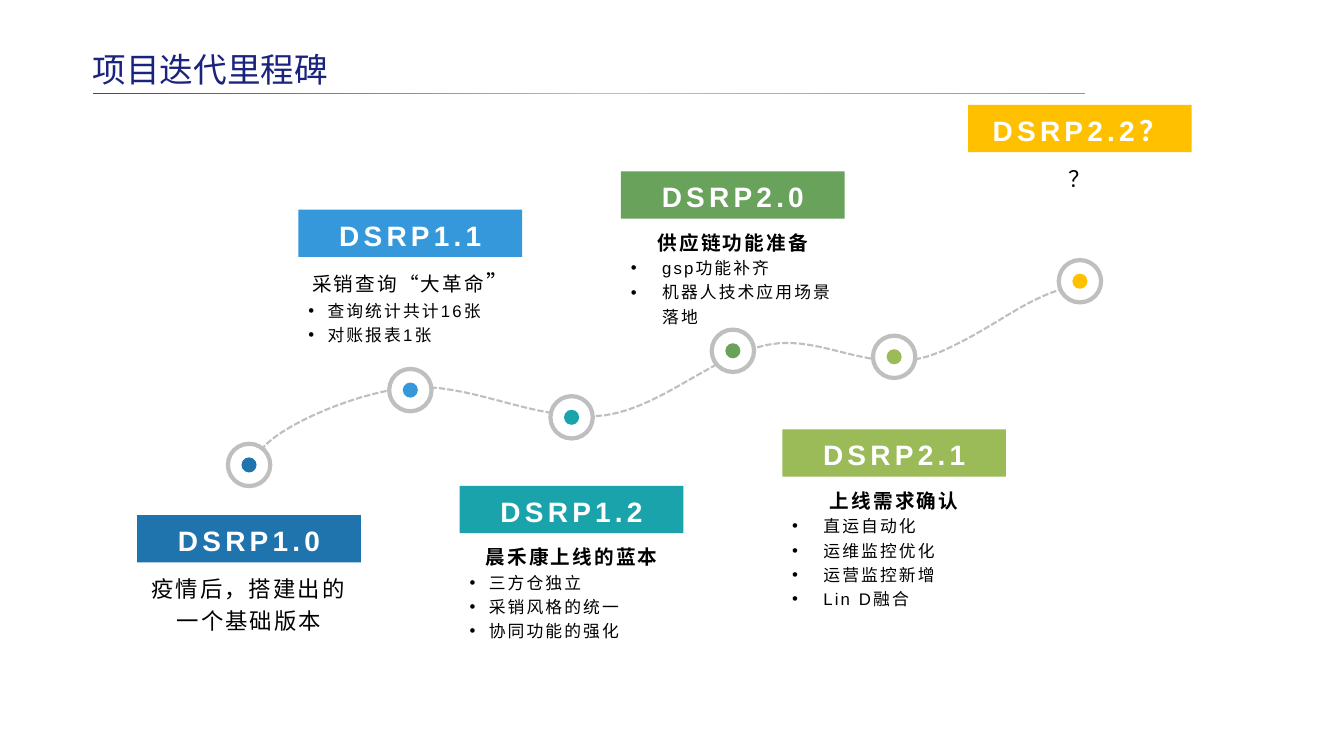
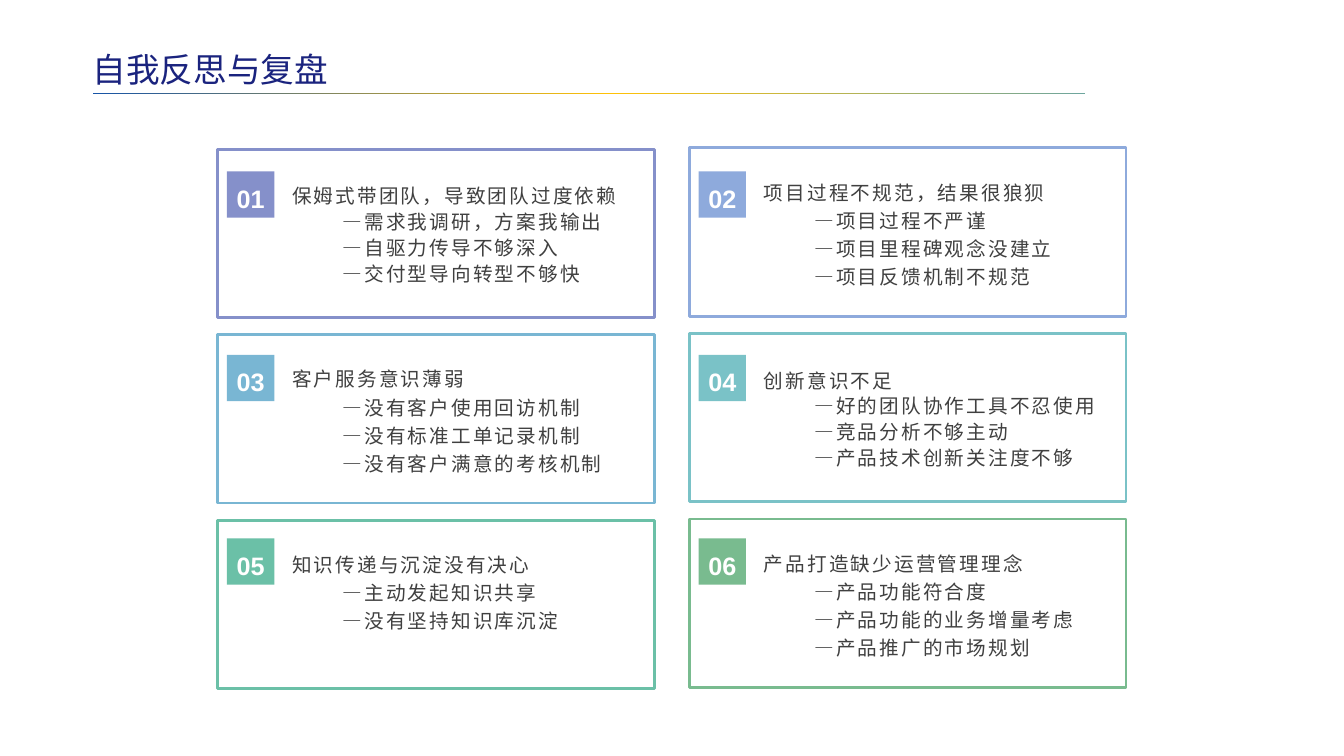
import pptx
import pptx.util
import pptx.dml.color
import pptx.enum.dml
import pptx.enum.shapes
import pptx.enum.text
import pptx.oxml.ns
from lxml import etree

Pt, Emu, Inches = pptx.util.Pt, pptx.util.Emu, pptx.util.Inches
SHAPE = pptx.enum.shapes.MSO_SHAPE
ANCHOR = pptx.enum.text.MSO_ANCHOR
ALIGN = pptx.enum.text.PP_ALIGN
qn = pptx.oxml.ns.qn

W, H = Inches(13.33), Inches(7.5)
CJK = "Noto Sans CJK SC"
C = {
    "title": "1A237E", "text": "000000", "soft": "404040",
    "white": "FFFFFF", "ring": "BFBFBF",
    "rule1": "1754A7", "rule2": "FFC107", "rule3": "6EA69E",
    "navy": "1F74AD", "blue": "3498DB", "teal": "1AA3AA",
    "green": "69A35B", "lime": "9BBB59", "amber": "FFC000",
    "violet": "8590CA", "sky": "8EAADC", "azure": "79B6D3",
    "aqua": "7AC2C7", "mint": "6BC0A7", "leaf": "79BB8F",
}

# Milestones: name, colour, node x and y, label top, heading, heading format,
# bullets, bullet indent in inches. Places are percentages of the slide.
FIRST_X, STEP_X = 18.53, 12
BIG = dict(size=16)
MEDIUM = dict(size=14)
BOLD = dict(size=14, bold=True)
MILESTONES = [
    ("DSRP1.0", "navy", FIRST_X, 61.5, 68.13,
     "疫情后，搭建出的一个基础版本", BIG, [], 0),
    ("DSRP1.1", "blue", FIRST_X + STEP_X, 51.6, 27.73,
     "采销查询“大革命", MEDIUM, ["查询统计共计16张", "对账报表1张"], 0.19),
    ("DSRP1.2", "teal", FIRST_X + 2 * STEP_X, 55.2, 64.27,
     "晨禾康上线的蓝本", BOLD,
     ["三方仓独立", "采销风格的统一", "协同功能的强化"], 0.19),
    ("DSRP2.0", "green", FIRST_X + 3 * STEP_X, 46.4, 22.67,
     "供应链功能准备", BOLD, ["gsp功能补齐", "机器人技术应用场景落地"], 0.31),
    ("DSRP2.1", "lime", FIRST_X + 4 * STEP_X, 47.2, 56.8,
     "上线需求确认", BOLD,
     ["直运自动化", "运维监控优化", "运营监控新增", "Lin D融合"], 0.31),
    ("DSRP2.2？", "amber", 80.35, 37.2, 13.87, "？", BIG, [], 0),
]

# Start point, then two control points and an end point per curve
PATH_START = (19.43, 59.6)
PATH_CURVES = [
    ((20.48, 56.53), (27.01, 51.33), (31.21, 51.2)),
    ((35.48, 51.2), (39.61, 55.33), (44.19, 55.07)),
    ((48.76, 54.8), (52.81, 47.07), (57.16, 45.6)),
    ((61.44, 44.13), (65.19, 50.27), (69.99, 46.53)),
    ((74.87, 42.67), (76.52, 38.53), (81.32, 37.33)),
]

# Reflections: colour, line spacing, heading, points
REFLECTIONS = [
    ("violet", 1.1, "保姆式带团队，导致团队过度依赖",
     ["需求我调研，方案我输出", "自驱力传导不够深入", "交付型导向转型不够快"]),
    ("sky", 1.2, "项目过程不规范，结果很狼狈",
     ["项目过程不严谨", "项目里程碑观念没建立", "项目反馈机制不规范"]),
    ("azure", 1.2, "客户服务意识薄弱",
     ["没有客户使用回访机制", "没有标准工单记录机制", "没有客户满意的考核机制"]),
    ("aqua", 1.1, "创新意识不足",
     ["好的团队协作工具不忍使用", "竞品分析不够主动", "产品技术创新关注度不够"]),
    ("mint", 1.2, "知识传递与沉淀没有决心",
     ["主动发起知识共享", "没有坚持知识库沉淀"]),
    ("leaf", 1.2, "产品打造缺少运营管理理念",
     ["产品功能符合度", "产品功能的业务增量考虑", "产品推广的市场规划"]),
]


def rgb(name):
    return pptx.dml.color.RGBColor.from_string(C[name])


def px(share):
    """Percentage of the slide width."""
    return Emu(round(W * share / 100))


def py(share):
    """Percentage of the slide height."""
    return Emu(round(H * share / 100))


def add_box(slide, kind, x, y, w, h, fill=None, line=None, width=2):
    sp = slide.shapes.add_shape(kind, x, y, w, h)
    sp.shadow.inherit = False
    if fill:
        sp.fill.solid()
        sp.fill.fore_color.rgb = rgb(fill)
    else:
        sp.fill.background()
    if line:
        sp.line.color.rgb = rgb(line)
        sp.line.width = Pt(width)
    else:
        sp.line.fill.background()
    return sp


def set_frame(sp, anchor=ANCHOR.TOP, insets=(0.1, 0.05, 0.1, 0.05), wrap=True):
    tf = sp.text_frame
    tf.word_wrap = wrap
    tf.vertical_anchor = anchor
    (tf.margin_left, tf.margin_top,
     tf.margin_right, tf.margin_bottom) = [Inches(i) for i in insets]
    return tf


def add_run(p, text, size=14, color="text", bold=False, font="Arial", spc=1.5):
    r = p.add_run()
    r.text = text
    r.font.size = Pt(size)
    r.font.bold = bold
    r.font.color.rgb = rgb(color)
    r.font.name = font
    rpr = r.font._element
    rpr.set("spc", str(int(spc * 100)))
    etree.SubElement(rpr, qn("a:ea")).set("typeface", CJK)


def write(tf, text, align=ALIGN.LEFT, line=1.2, indent=0, bullet=False, **fmt):
    """Add one paragraph, filling the empty first one before any other."""
    p = tf.paragraphs[0] if not tf.paragraphs[0].runs else tf.add_paragraph()
    p.alignment = align
    p.line_spacing = line
    ppr = p._p.get_or_add_pPr()
    ppr.set("marL", str(Inches(indent)))
    ppr.set("indent", str(-Inches(indent) if bullet else 0))
    if bullet:
        etree.SubElement(ppr, qn("a:buFont")).set("typeface", "Arial")
        etree.SubElement(ppr, qn("a:buChar")).set("char", "•")
    add_run(p, text, **fmt)
    return p


def add_header(slide, title, font):
    # Rule under the title
    rule = add_box(slide, SHAPE.RECTANGLE, px(6.9), py(12.27), px(73.8), py(0.2))
    rule.fill.gradient()
    rule.fill.gradient_angle = 0
    stops = rule._element.spPr.find(qn("a:gradFill")).find(qn("a:gsLst"))
    for gs in list(stops):
        stops.remove(gs)
    for pos, name in ((0, "rule1"), (52, "rule2"), (100, "rule3")):
        gs = etree.SubElement(stops, qn("a:gs"), pos=str(pos * 1000))
        etree.SubElement(gs, qn("a:srgbClr"), val=C[name])
    # Title
    sp = slide.shapes.add_textbox(px(6.9), py(5.2), px(72.1), py(7.07))
    tf = set_frame(sp, ANCHOR.BOTTOM, (0, 0.04, 0.07, 0.04))
    write(tf, title, line=1, size=24, color="title", font=font, spc=0)


def curve_points(steps=16):
    start = PATH_START
    for c1, c2, end in PATH_CURVES:
        for i in range(1, steps + 1):
            t = i / steps
            u = 1 - t
            x, y = (u**3 * a + 3 * u*u*t * b + 3 * u*t*t * c + t**3 * d
                    for a, b, c, d in zip(start, c1, c2, end))
            yield px(x), py(y)
        start = end


def add_path(slide):
    fb = slide.shapes.build_freeform(px(PATH_START[0]), py(PATH_START[1]))
    fb.add_line_segments(list(curve_points()), close=False)
    sp = fb.convert_to_shape()
    sp.shadow.inherit = False
    sp.fill.background()
    sp.line.color.rgb = rgb("ring")
    sp.line.width = Pt(1.5)
    sp.line.dash_style = pptx.enum.dml.MSO_LINE.SQUARE_DOT


def add_node(slide, x, y, color):
    for size, fill, line in ((5.6, "white", "ring"), (2, color, None)):
        d = py(size)
        add_box(slide, SHAPE.OVAL, px(x) - d // 2, py(y) - d // 2, d, d,
                fill, line, 3)


def add_milestone(slide, name, color, x, y, top, heading, style, items, indent):
    add_node(slide, x, y, color)
    w, h = px(16.65), py(6.27)
    left = px(x) - w // 2
    # Label
    sp = add_box(slide, SHAPE.RECTANGLE, left, py(top), w, h, color)
    write(set_frame(sp, ANCHOR.MIDDLE), name, ALIGN.CENTER, 1.1,
          size=20, color="white", bold=True, spc=3)
    # Description
    sp = slide.shapes.add_textbox(left, py(top + 6.55), w, py(10 + 3 * len(items)))
    tf = set_frame(sp)
    p = write(tf, heading, ALIGN.CENTER, **style)
    if "“" in heading:
        add_run(p, "”", size=16)
    for item in items:
        write(tf, item, indent=indent, bullet=True, size=12)


def add_reflection(slide, index, color, line, heading, points):
    row, col = divmod(index, 2)
    x, y = px(16.2 + 35.1 * col), py(19.73 + 24.55 * row - 0.17 * col)
    w, h = px(32.48), py(22.27)
    # Frame
    sp = add_box(slide, SHAPE.ROUND_2_DIAG_RECTANGLE, x, y, w, h, line=color)
    sp.adjustments[0] = sp.adjustments[1] = 0
    # Text; a shorter list keeps the room of the missing line
    sp = slide.shapes.add_textbox(x + px(4.8), y + py(1.5), px(26.56), py(19.33))
    tf = set_frame(sp, ANCHOR.MIDDLE,
                   (0.1, 0.05, 0.1, 0.05 + 0.28 * (3 - len(points))))
    write(tf, heading, line=line, color="soft")
    for point in points:
        write(tf, "—" + point, line=line, indent=0.5, color="soft")
    # Number
    sp = add_box(slide, SHAPE.RECTANGLE, x + px(0.68), py(22.67 + 24.27 * row),
                 px(3.53), py(6.13), color)
    tf = set_frame(sp, ANCHOR.MIDDLE, (0, 0.04, 0, 0), wrap=False)
    write(tf, f"{index + 1:02d}", ALIGN.CENTER, 1.1,
          size=18, color="white", bold=True, spc=0)


def add_slide(prs, title, font):
    slide = prs.slides.add_slide(prs.slide_layouts[6])
    add_header(slide, title, font)
    return slide


def main():
    prs = pptx.Presentation()
    prs.slide_width, prs.slide_height = W, H

    slide = add_slide(prs, "项目迭代里程碑", "Montserrat")
    add_path(slide)
    for milestone in MILESTONES:
        add_milestone(slide, *milestone)

    slide = add_slide(prs, "自我反思与复盘", CJK)
    for index, reflection in enumerate(REFLECTIONS):
        add_reflection(slide, index, *reflection)

    prs.save("out.pptx")


if __name__ == "__main__":
    main()
